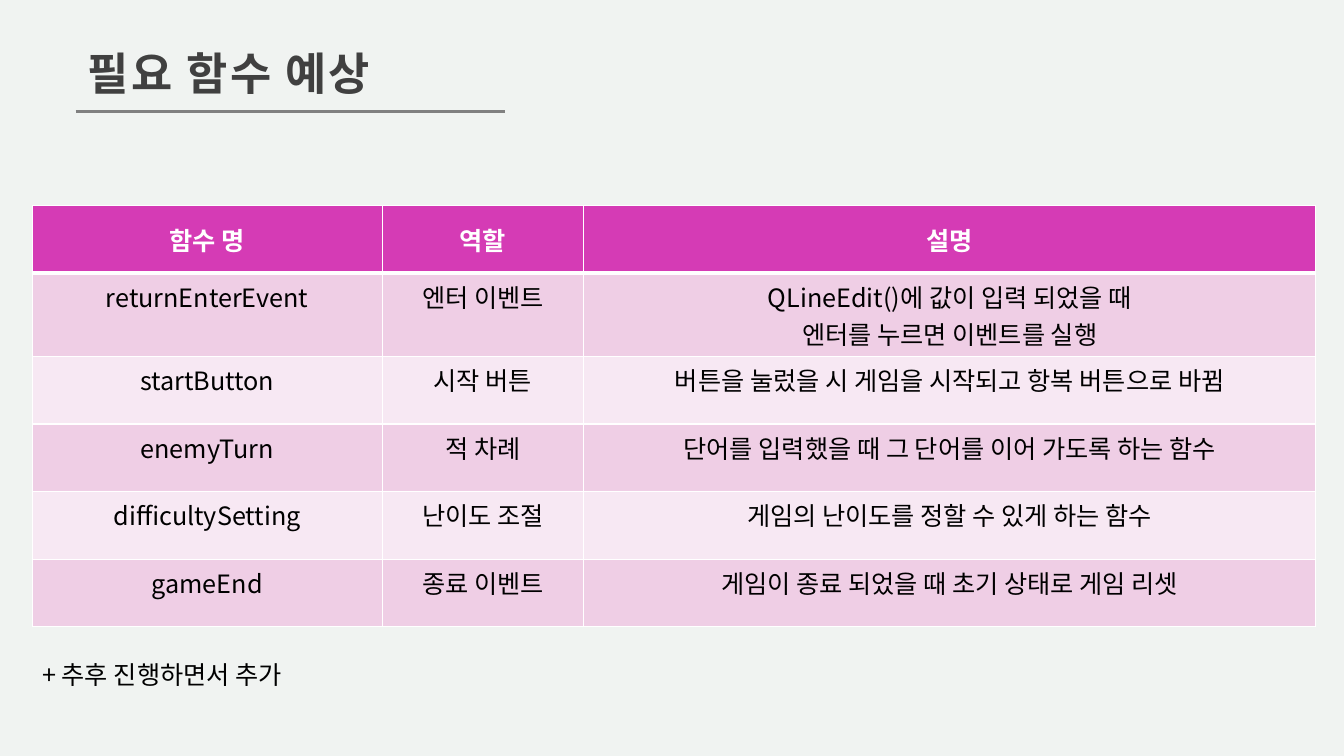
from pptx import Presentation
from pptx.dml.color import RGBColor
from pptx.enum.shapes import MSO_CONNECTOR as CONN
from pptx.enum.text import MSO_ANCHOR as ANC, MSO_AUTO_SIZE as FIT, PP_ALIGN as AL
from pptx.oxml.ns import qn
from pptx.util import Inches, Pt
from lxml.etree import SubElement as Sub

FONT = "Noto Sans CJK JP"
HEADER, BANDS = "D53BB5", ("EFCEE5", "F7E8F3")
WHITE, BLACK = "FFFFFF", "000000"


def rgb(hex_color):
    return RGBColor.from_string(hex_color)


class Deck:
    """Holds the style and the current slide; lengths are percent of the slide."""

    def __init__(self, width, height, background):
        self.prs = Presentation()
        self.prs.slide_width, self.prs.slide_height = Inches(width), Inches(height)
        self.s = self.prs.slides.add_slide(self.prs.slide_layouts[6])
        fill = self.s.background.fill
        fill.solid()
        fill.fore_color.rgb = rgb(background)

    def x(self, share):
        return int(self.prs.slide_width * share / 100)

    def y(self, share):
        return int(self.prs.slide_height * share / 100)

    def box(self, left, top, width, height):
        return self.x(left), self.y(top), self.x(width), self.y(height)

    def set_text(self, tf, text, size=18, color=BLACK, bold=False, align=AL.LEFT, spacing=0):
        tf.text = text
        for p in tf.paragraphs:
            p.alignment = align
            f = p.font
            f.size, f.bold, f.name = Pt(size), bold, FONT
            f.color.rgb = rgb(color)
            # Korean glyphs take the East Asian typeface
            props = p._p.pPr.find(qn("a:defRPr"))
            Sub(props, qn("a:ea"), typeface=FONT)
            if spacing:
                props.set("spc", str(int(spacing * 100)))

    def text(self, place, text, wrap=False, **style):
        tf = self.s.shapes.add_textbox(*self.box(*place)).text_frame
        tf.word_wrap = wrap
        self.set_text(tf, text, **style)
        return tf

    def line(self, x1, y1, x2, y2, color, width):
        c = self.s.shapes.add_connector(
            CONN.STRAIGHT, self.x(x1), self.y(y1), self.x(x2), self.y(y2))
        c.line.color.rgb = rgb(color)
        c.line.width = Pt(width)
        Sub(c._element.spPr, qn("a:effectLst"))

    def borders(self, cell, **widths):
        props = cell._tc.get_or_add_tcPr()
        for side in "LRTB":
            ln = Sub(props, qn(f"a:ln{side}"), w=str(Pt(widths.get(side, 1))))
            Sub(Sub(ln, qn("a:solidFill")), qn("a:srgbClr"), val=WHITE)

    def table(self, left, top, columns, row_height, rows):
        place = self.box(left, top, sum(columns), row_height * len(rows))
        table = self.s.shapes.add_table(len(rows), len(columns), *place).table
        for column, width in zip(table.columns, columns):
            column.width = self.x(width)
        for i, row in enumerate(rows):
            table.rows[i].height = self.y(row_height)
            head = i == 0
            for j, text in enumerate(row):
                cell = table.cell(i, j)
                self.borders(cell, T=3 if i == 1 else 1, B=3 if head else 1)
                cell.fill.solid()
                cell.fill.fore_color.rgb = rgb(HEADER if head else BANDS[(i - 1) % 2])
                cell.vertical_anchor = ANC.MIDDLE if head else ANC.TOP
                self.set_text(cell.text_frame, text, color=WHITE if head else BLACK,
                              bold=head, align=AL.CENTER)


def main():
    deck = Deck(13.33, 7.5, "F0F3F1")

    # Function table
    deck.table(2.4, 27.2, (26.03, 15, 54.46), 8.95, [
        ("함수 명", "역할", "설명"),
        ("returnEnterEvent", "엔터 이벤트",
         "QLineEdit()에 값이 입력 되었을 때\n엔터를 누르면 이벤트를 실행"),
        ("startButton", "시작 버튼", "버튼을 눌렀을 시 게임을 시작되고 항복 버튼으로 바뀜"),
        ("enemyTurn", "적 차례", "단어를 입력했을 때 그 단어를 이어 가도록 하는 함수"),
        ("difficultySetting", "난이도 조절", "게임의 난이도를 정할 수 있게 하는 함수"),
        ("gameEnd", "종료 이벤트", "게임이 종료 되었을 때 초기 상태로 게임 리셋"),
    ])

    # Note below the table
    note = deck.text((2.4, 86.53, 21.98, 5.33), "+ 추후 진행하면서 추가")
    note.auto_size = FIT.SHAPE_TO_FIT_TEXT

    # Title and its rule
    title = deck.text((5.63, 1.07, 32, 13.47), "필요 함수 예상", wrap=True,
                      size=32, color="404040", bold=True, spacing=1.5)
    title.vertical_anchor = ANC.BOTTOM
    title.margin_left = title.margin_top = title.margin_right = Inches(0.12)
    title.margin_bottom = Inches(0.1)
    title.paragraphs[0].line_spacing = 1.3
    deck.line(5.63, 14.8, 37.6, 14.8, "808080", 2)

    deck.prs.save("out.pptx")


if __name__ == "__main__":
    main()
